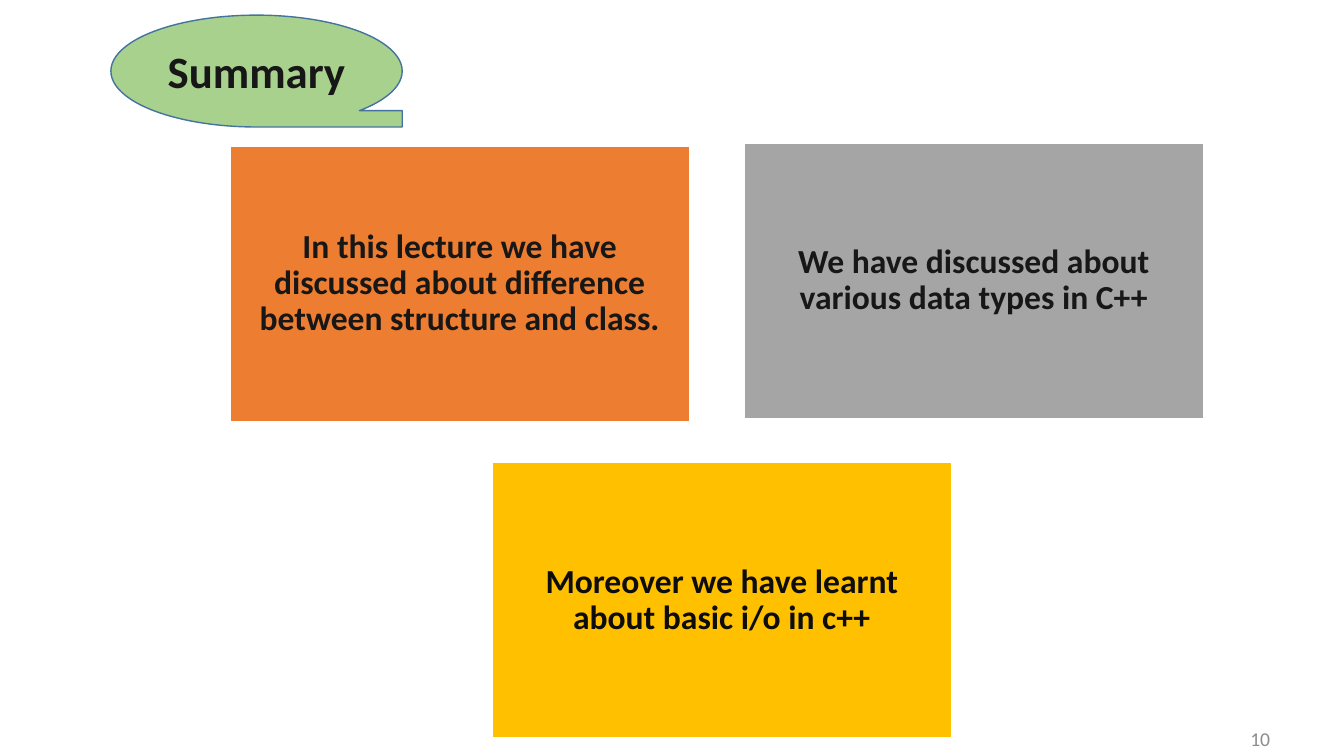
from dataclasses import dataclass
from typing import Optional

from pptx import Presentation
from pptx import util as u
from pptx.dml import color
from pptx.enum import shapes, text
from pptx.slide import Slide

COLORS = {
    "green": "A9D18E",
    "blue": "43739E",
    "orange": "ED7D31",
    "gray": "A5A5A5",
    "gold": "FFC000",
    "white": "FFFFFF",
    "ink": "181717",
    "black": "0D0D0D",
    "number": "8C8C8C",
}
FONT = "Calibri"
CARD_WIDTH, CARD_HEIGHT = 328.3, 196.6
CARD_INSET = 7.2


@dataclass(frozen=True)
class Block:
    words: str
    left: float
    top: float
    fill: str
    width: float = CARD_WIDTH
    height: float = CARD_HEIGHT
    outline: str = "white"
    ink: str = "ink"
    size: float = 24
    kind: shapes.MSO_SHAPE = shapes.MSO_SHAPE.RECTANGLE
    line_spacing: Optional[float] = 0.9
    inset: float = CARD_INSET


BLOCKS = [
    Block("Summary", 79.2, 10.8, "green", 208.1, 79.9, "blue", size=32,
          kind=shapes.MSO_SHAPE.FLOWCHART_SEQUENTIAL_ACCESS_STORAGE,
          line_spacing=None, inset=3.6),
    Block("In this lecture we have discussed about difference between structure and class.",
          164.2, 104.4, "orange"),
    Block("We have discussed about various data types in C++", 531.4, 102.2, "gray"),
    Block("Moreover we have learnt about basic i/o in c++", 351.4, 330.5, "gold", ink="black"),
]


def rgb(name: str) -> color.RGBColor:
    return color.RGBColor.from_string(COLORS[name])


def write(frame, words: str, size: float, ink: str, bold: bool, align: text.PP_ALIGN):
    frame.word_wrap = True
    frame.vertical_anchor = text.MSO_ANCHOR.MIDDLE
    paragraph = frame.paragraphs[0]
    paragraph.text = words
    paragraph.alignment = align
    paragraph.font.name = FONT
    paragraph.font.size = u.Pt(size)
    paragraph.font.bold = bold
    paragraph.font.color.rgb = rgb(ink)
    return paragraph


def draw_block(slide: Slide, block: Block) -> None:
    shape = slide.shapes.add_shape(
        block.kind, u.Pt(block.left), u.Pt(block.top), u.Pt(block.width), u.Pt(block.height))
    shape.shadow.inherit = False
    shape.fill.solid()
    shape.fill.fore_color.rgb = rgb(block.fill)
    shape.line.color.rgb = rgb(block.outline)
    shape.line.width = u.Pt(1)
    frame = shape.text_frame
    frame.margin_left = frame.margin_right = u.Pt(CARD_INSET)
    frame.margin_top = frame.margin_bottom = u.Pt(block.inset)
    paragraph = write(frame, block.words, block.size, block.ink, True, text.PP_ALIGN.CENTER)
    paragraph.line_spacing = block.line_spacing


def draw_slide_number(slide: Slide, number: str) -> None:
    box = slide.shapes.add_textbox(u.Pt(753.1), u.Pt(525.6), u.Pt(161.3), u.Pt(3.6))
    write(box.text_frame, number, 14, "number", False, text.PP_ALIGN.RIGHT)


def main() -> None:
    presentation = Presentation()
    presentation.slide_width = u.Pt(960)
    presentation.slide_height = u.Pt(540)
    slide = presentation.slides.add_slide(presentation.slide_layouts[6])
    draw_slide_number(slide, "10")
    for block in BLOCKS:
        draw_block(slide, block)
    presentation.save("out.pptx")


if __name__ == "__main__":
    main()
